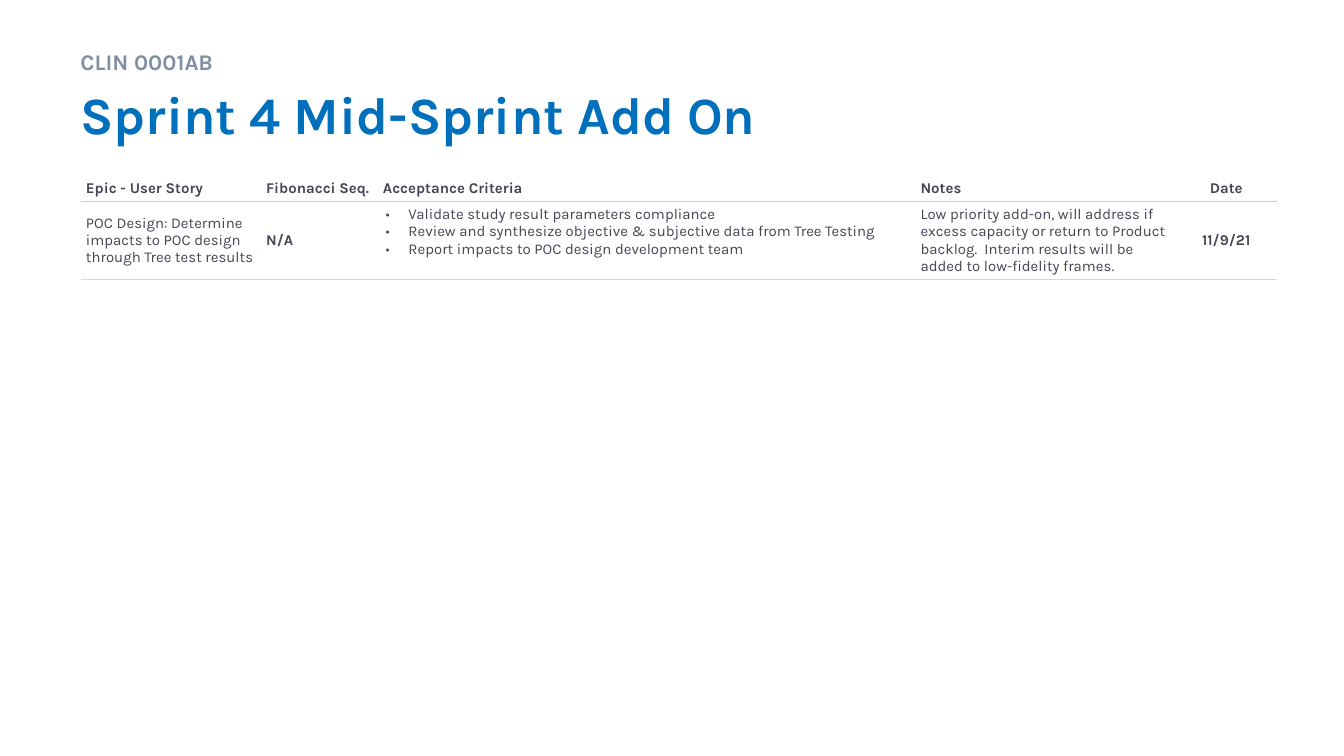
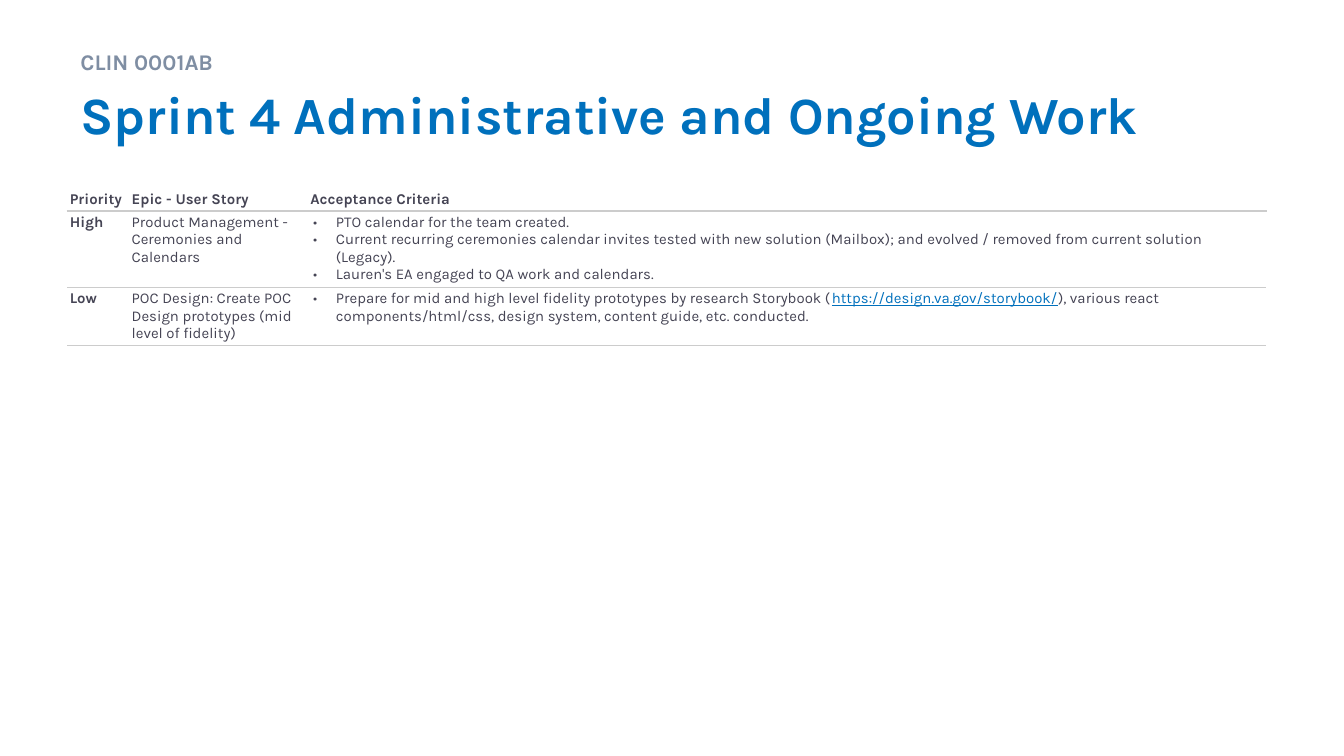
from pptx import Presentation
from pptx.dml.color import RGBColor
from pptx.enum.text import MSO_ANCHOR, MSO_AUTO_SIZE, PP_ALIGN
from pptx.oxml.ns import qn
from pptx.util import Inches, Pt
from lxml import etree

TOP, MID, LOW = MSO_ANCHOR.TOP, MSO_ANCHOR.MIDDLE, MSO_ANCHOR.BOTTOM
LEFT, CENTER = PP_ALIGN.LEFT, PP_ALIGN.CENTER
NOFIT = MSO_AUTO_SIZE.NONE

WIDE = 10
HIGH = WIDE * 9 / 16
EDGE = 0.5
FONT = "Karla"
HUES = {"title": "0070BC", "label": "7F8EA3", "text": "454454",
        "white": "FFFFFF", "rule": "CCCCCC", "pale": "D8D8D8"}
LABEL = "CLIN 0001AB"
LINK = "https://design.va.gov/storybook/"

# A list in a cell is a bulleted list; a tuple in it is one item cut into runs.
# Each edge set names the colours of the left, top, right and bottom borders.
SLIDES = [
    {
        "title": "Sprint 4 Mid-Sprint Add On",
        "at": (0.61, 1.31), "inset": 0.03,
        "cols": [1.34, 0.87, 4, 1.93, 0.75], "rows": [0.19, 0.58],
        "bold": (1, 4), "center": (4,),
        "head": TOP, "body": [MID, MID, TOP, MID, MID],
        "edges": [("white", "white", "white", "rule"),
                  ("white", "rule", "white", "pale")],
        "cells": [
            ["Epic - User Story", "Fibonacci Seq.", "Acceptance Criteria",
             "Notes", "Date"],
            ["POC Design: Determine impacts to POC design through Tree test "
             "results",
             "N/A",
             ["Validate study result parameters compliance",
              "Review and synthesize objective & subjective data from Tree "
              "Testing",
              "Report impacts to POC design development team"],
             "Low priority add-on, will address if excess capacity or return "
             "to Product backlog.  Interim results will be added to "
             "low-fidelity frames.",
             "11/9/21"],
        ],
    },
    {
        "title": "Sprint 4 Administrative and Ongoing Work",
        "at": (EDGE, 1.4), "inset": 0.02,
        "cols": [0.46, 1.33, 7.13], "rows": [0.17, 0.57, 0.43],
        "bold": (0,), "center": (),
        "head": LOW, "body": [TOP] * 3,
        "edges": [("white", "white", "white", "rule"),
                  (None, "rule", None, "rule")],
        "cells": [
            ["Priority", "Epic - User Story", "Acceptance Criteria"],
            ["High",
             "Product Management - Ceremonies and Calendars",
             ["PTO calendar for the team created.",
              "Current recurring ceremonies calendar invites tested with new "
              "solution (Mailbox); and evolved / removed from current "
              "solution (Legacy).",
              "Lauren's EA engaged to QA work and calendars."]],
            ["Low",
             "POC Design: Create POC Design prototypes (mid level of fidelity)",
             [("Prepare for mid and high level fidelity prototypes by "
               "research Storybook (", LINK,
               "), various react components/html/css, design system, content "
               "guide, etc. conducted.")]],
        ],
    },
]


def rgb(hue):
    return RGBColor.from_string(HUES[hue])


def add_hue(node, hue):
    etree.SubElement(node, qn("a:srgbClr"), val=HUES[hue])


def add_dot(para):
    """Make the paragraph a hanging bullet."""
    props = para._p.get_or_add_pPr()
    props.set("marL", str(Inches(0.19)))
    props.set("indent", str(-Inches(0.17)))
    add_hue(etree.SubElement(props, qn("a:buClr")), "text")
    etree.SubElement(props, qn("a:buFont"), typeface=FONT)
    etree.SubElement(props, qn("a:buChar"), char="•")


def write(frame, text, size=8, hue="text", bold=False, align=LEFT, space=1.0):
    dots = isinstance(text, list)
    for i, item in enumerate(text if dots else [text]):
        para = frame.add_paragraph() if i else frame.paragraphs[0]
        para.alignment = align
        para.line_spacing = space
        if dots:
            add_dot(para)
        for part in item if isinstance(item, tuple) else (item,):
            run = para.add_run()
            run.text = part
            font = run.font
            font.name, font.size, font.bold = FONT, Pt(size), bold
            font.color.rgb = rgb("title" if part == LINK else hue)
            font.underline = part == LINK


def place(shape, top, high):
    """Set a heading box across the slide between its side margins."""
    shape.left, shape.top = Inches(EDGE), Inches(top)
    shape.width, shape.height = Inches(WIDE - 2 * EDGE), Inches(high)
    frame = shape.text_frame
    frame.word_wrap = True
    frame.auto_size = NOFIT
    frame.vertical_anchor = TOP
    return frame


def set_edges(cell, hues):
    props = cell._tc.get_or_add_tcPr()
    for i, (side, hue) in enumerate(zip("LTRB", hues)):
        line = etree.Element(qn("a:ln" + side), w=str(Pt(0.75)))
        if hue:
            add_hue(etree.SubElement(line, qn("a:solidFill")), hue)
        else:
            etree.SubElement(line, qn("a:noFill"))
        props.insert(i, line)


def add_grid(slide, data):
    cols, rows = data["cols"], data["rows"]
    left, top = data["at"]
    table = slide.shapes.add_table(
        len(rows), len(cols), Inches(left), Inches(top),
        Inches(sum(cols)), Inches(sum(rows))).table
    table.first_row = table.horz_banding = False
    for col, wide in zip(table.columns, cols):
        col.width = Inches(wide)
    for row, high in zip(table.rows, rows):
        row.height = Inches(high)
    inset = Inches(data["inset"])
    for r, texts in enumerate(data["cells"]):
        for c, text in enumerate(texts):
            cell = table.cell(r, c)
            cell.margin_left = cell.margin_right = inset
            cell.margin_top = cell.margin_bottom = inset
            cell.vertical_anchor = data["body"][c] if r else data["head"]
            cell.fill.solid()
            cell.fill.fore_color.rgb = rgb("white")
            set_edges(cell, data["edges"][min(r, 1)])
            write(cell.text_frame, text, bold=r == 0 or c in data["bold"],
                  align=CENTER if c in data["center"] else LEFT)


def main():
    deck = Presentation()
    deck.slide_width, deck.slide_height = Inches(WIDE), Inches(HIGH)
    for data in SLIDES:
        slide = deck.slides.add_slide(deck.slide_layouts[5])
        label = slide.shapes.add_textbox(0, 0, 0, 0)
        write(place(label, 0.27, 0.29), LABEL, size=12, hue="label",
              bold=True, space=1.2)
        write(place(slide.shapes.title, 0.56, 0.69), data["title"], size=28,
              hue="title", bold=True)
        add_grid(slide, data)
    deck.save("out.pptx")


if __name__ == "__main__":
    main()
